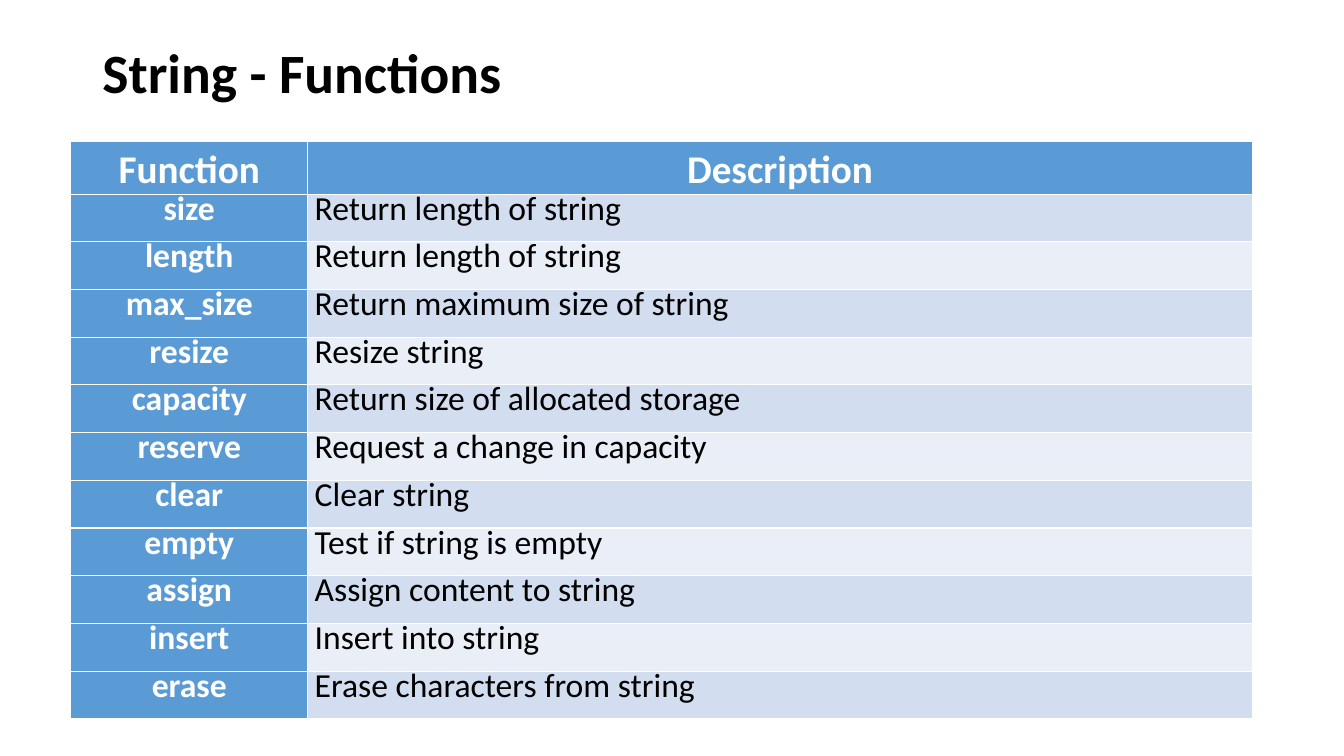
from pptx import Presentation
from pptx.dml.color import RGBColor
from pptx.enum.text import MSO_ANCHOR, MSO_AUTO_SIZE, PP_ALIGN
from pptx.util import Pt

LEFT, CENTER = PP_ALIGN.LEFT, PP_ALIGN.CENTER
MIDDLE = MSO_ANCHOR.MIDDLE
NO_AUTOFIT = MSO_AUTO_SIZE.NONE
TITLE_ONLY = 5
FONT = "Calibri"
COLORS = {
    "black": "000000",
    "white": "FFFFFF",
    "header": "5B9BD5",
    "odd_band": "D2DEEF",
    "even_band": "EAEFF7",
}
COLUMN_WIDTHS = [169.2, 674.64]
ROW_HEIGHT = 34.1
FUNCTIONS = [
    ("Function", "Description"),
    ("size", "Return length of string"),
    ("length", "Return length of string"),
    ("max_size", "Return maximum size of string\u00a0"),
    ("resize", "Resize string"),
    ("capacity", "Return size of allocated storage"),
    ("reserve", "Request a change in capacity\u00a0"),
    ("clear", "Clear string"),
    ("empty", "Test if string is empty"),
    ("assign", "Assign content to string"),
    ("insert", "Insert into string"),
    ("erase", "Erase characters from string\u00a0"),
]


def format_paragraph(paragraph, size, color, bold, alignment, line_spacing):
    paragraph.alignment = alignment
    paragraph.line_spacing = line_spacing
    for run in paragraph.runs:
        run.font.name = FONT
        run.font.size = Pt(size)
        run.font.bold = bold
        run.font.color.rgb = RGBColor.from_string(COLORS[color])


presentation = Presentation()
presentation.slide_width = Pt(960)
presentation.slide_height = Pt(540)
slide = presentation.slides.add_slide(presentation.slide_layouts[TITLE_ONLY])

title = slide.shapes.title
title.left, title.top, title.width, title.height = Pt(66), Pt(28.8), Pt(828), Pt(51)
title.text_frame.text = "String - Functions"
title.text_frame.auto_size = NO_AUTOFIT
title.text_frame.vertical_anchor = MIDDLE
format_paragraph(title.text_frame.paragraphs[0], 39.6, "black", True, LEFT, 0.9)

table = slide.shapes.add_table(
    len(FUNCTIONS), len(COLUMN_WIDTHS), Pt(50.6), Pt(101),
    Pt(sum(COLUMN_WIDTHS)), Pt(ROW_HEIGHT * len(FUNCTIONS)),
).table
table.first_col = True
for column, width in zip(table.columns, COLUMN_WIDTHS):
    column.width = Pt(width)

for row_index, texts in enumerate(FUNCTIONS):
    table.rows[row_index].height = Pt(ROW_HEIGHT)
    is_header_row = row_index == 0
    size, line_spacing = (28, 1.1) if is_header_row else (24, Pt(16.1))
    band = "odd_band" if row_index % 2 else "even_band"
    for column_index, text in enumerate(texts):
        is_heading = is_header_row or column_index == 0
        cell = table.cell(row_index, column_index)
        cell.fill.solid()
        cell.fill.fore_color.rgb = RGBColor.from_string(COLORS["header" if is_heading else band])
        cell.vertical_anchor = MIDDLE
        cell.margin_left = cell.margin_right = Pt(5)
        cell.margin_top = cell.margin_bottom = 0
        cell.text_frame.text = text
        format_paragraph(
            cell.text_frame.paragraphs[0], size, "white" if is_heading else "black",
            is_heading, CENTER if is_heading else LEFT, line_spacing,
        )

presentation.save("out.pptx")
